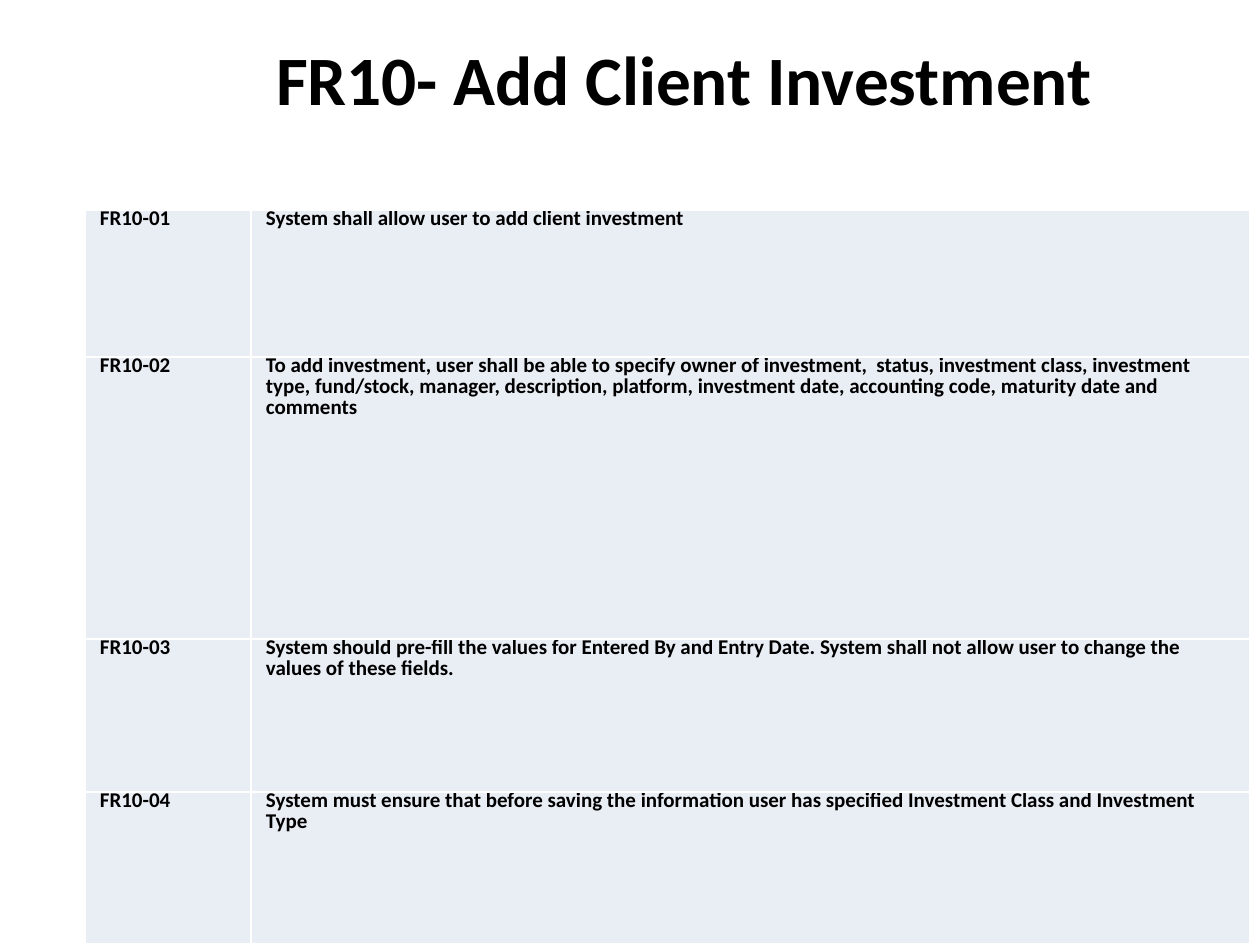
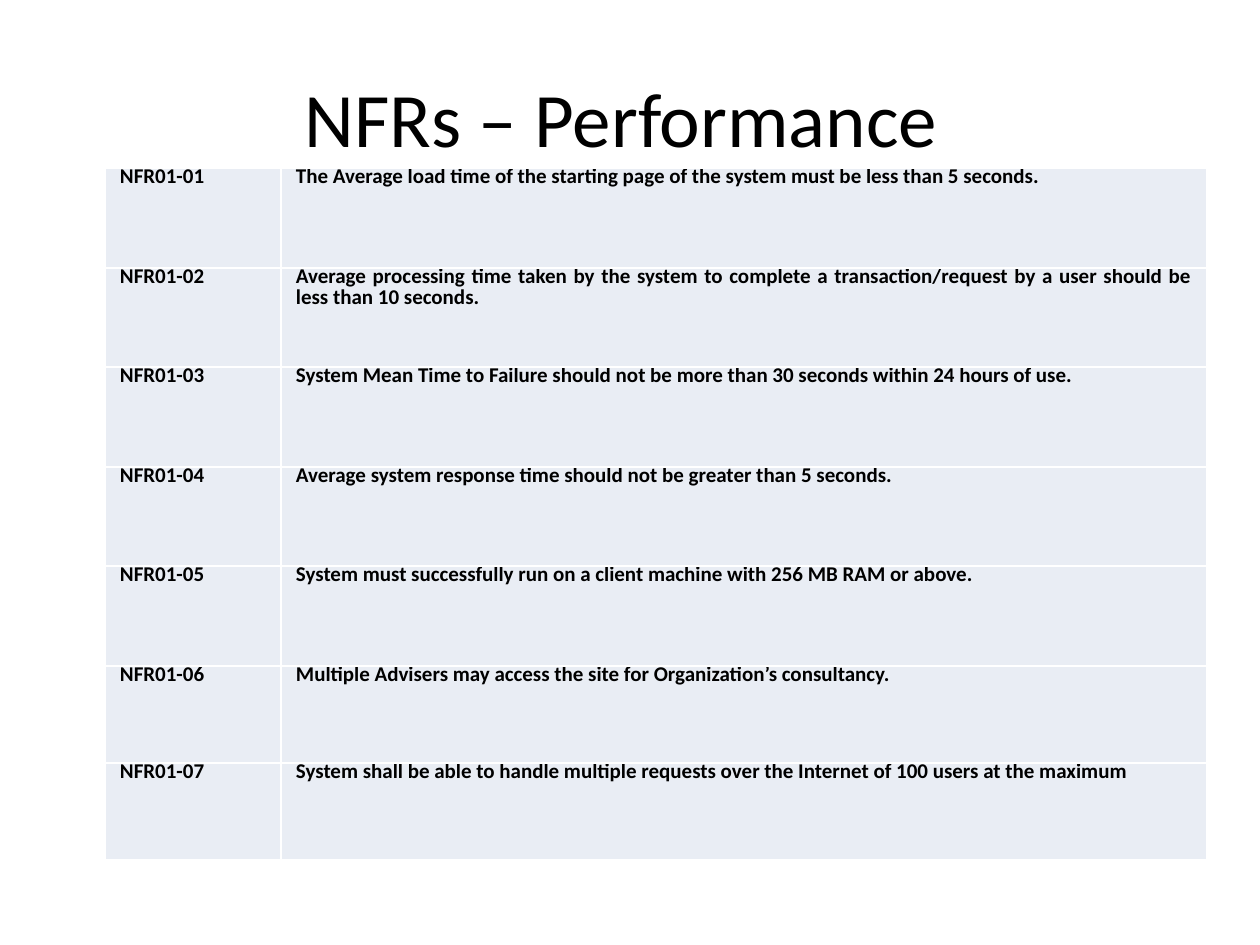
import pptx
import pptx.util
import pptx.dml.color
import pptx.enum.text

Pt = pptx.util.Pt
ALIGN = pptx.enum.text.PP_ALIGN
SCALE = 914400 // 126
FONT = "Calibri"
INK = "000000"
PALE = "E9EDF4"


def px(count):
    return pptx.util.Emu(count * SCALE)


def color(code):
    return pptx.dml.color.RGBColor.from_string(code)


pages = [
    {
        "title": "FR10- Add Client Investment ",
        "size": 39.6, "bold": True, "inset": (137, 84),
        "place": (85, 210), "cols": [166, 999],
        "rows": [147, 282, 153, 152],
        "align": ALIGN.LEFT, "gap": 0, "code": "FR10",
        "items": [
            "System shall allow user to add client investment ",
            "To add investment, user shall be able to specify owner of investment,  "
            "status, investment class, investment type, fund/stock, manager, "
            "description, platform, investment date, accounting code, maturity "
            "date and comments",
            "System should pre-fill the values for Entered By and Entry Date. "
            "System shall not allow user to change the values of these fields.",
            "System must ensure that before saving the information user has "
            "specified Investment Class and Investment Type",
        ],
    },
    {
        "title": "NFRs – Performance ",
        "size": 44, "bold": False, "inset": (13, 6),
        "place": (105, 168), "cols": [176, 926],
        "rows": [100, 99, 100, 99, 100, 97, 97],
        "align": ALIGN.JUSTIFY, "gap": 12, "code": "NFR01",
        "items": [
            "The Average load time of the starting page of the system must be "
            "less than 5 seconds.",
            "Average processing time taken by the system to complete a "
            "transaction/request by a user should be less than 10 seconds.",
            "System Mean Time to Failure should not be more than 30 seconds "
            "within 24 hours of use.",
            "Average system response time should not be greater than 5 seconds.",
            "System must successfully run on a client machine with 256 MB RAM "
            "or above.",
            "Multiple Advisers may access the site for Organization’s consultancy.",
            "System shall be able to handle multiple requests over the Internet "
            "of 100 users at the maximum",
        ],
    },
]

deck = pptx.Presentation()
deck.slide_width, deck.slide_height = px(1260), px(945)

for page in pages:
    slide = deck.slides.add_slide(deck.slide_layouts[5])
    title = slide.shapes.title
    title.left, title.top, title.width, title.height = map(px, (63, 38, 1134, 158))
    frame = title.text_frame
    frame.text = page["title"]
    frame.word_wrap = True
    frame.auto_size = pptx.enum.text.MSO_AUTO_SIZE.NONE
    frame.vertical_anchor = pptx.enum.text.MSO_ANCHOR.MIDDLE
    frame.margin_left, frame.margin_bottom = map(px, page["inset"])
    frame.margin_right, frame.margin_top = px(13), px(6)
    head = frame.paragraphs[0]
    head.alignment = ALIGN.CENTER
    font = head.runs[0].font
    font.name, font.size, font.bold = FONT, Pt(page["size"]), page["bold"]
    font.color.rgb = color(INK)

    cols, rows = page["cols"], page["rows"]
    left, top = page["place"]
    table = slide.shapes.add_table(
        len(rows), len(cols), px(left), px(top), px(sum(cols)), px(sum(rows))
    ).table
    table.first_row = table.horz_banding = False
    for column, width in zip(table.columns, cols):
        column.width = px(width)
    for row, height in zip(table.rows, rows):
        row.height = px(height)

    for index, item in enumerate(page["items"]):
        label = f"{page['code']}-{index + 1:02}"
        for cell, text in zip(table.rows[index].cells, (label, item)):
            cell.fill.solid()
            cell.fill.fore_color.rgb = color(PALE)
            cell.margin_left = cell.margin_right = px(15)
            cell.margin_top = cell.margin_bottom = 0
            cell.text_frame.text = text
            para = cell.text_frame.paragraphs[0]
            para.alignment = page["align"]
            para.line_spacing = Pt(12)
            para.space_before = para.space_after = Pt(page["gap"])
            font = para.runs[0].font
            font.name, font.size, font.bold = FONT, Pt(12), True
            font.color.rgb = color(INK)

deck.save("out.pptx")
